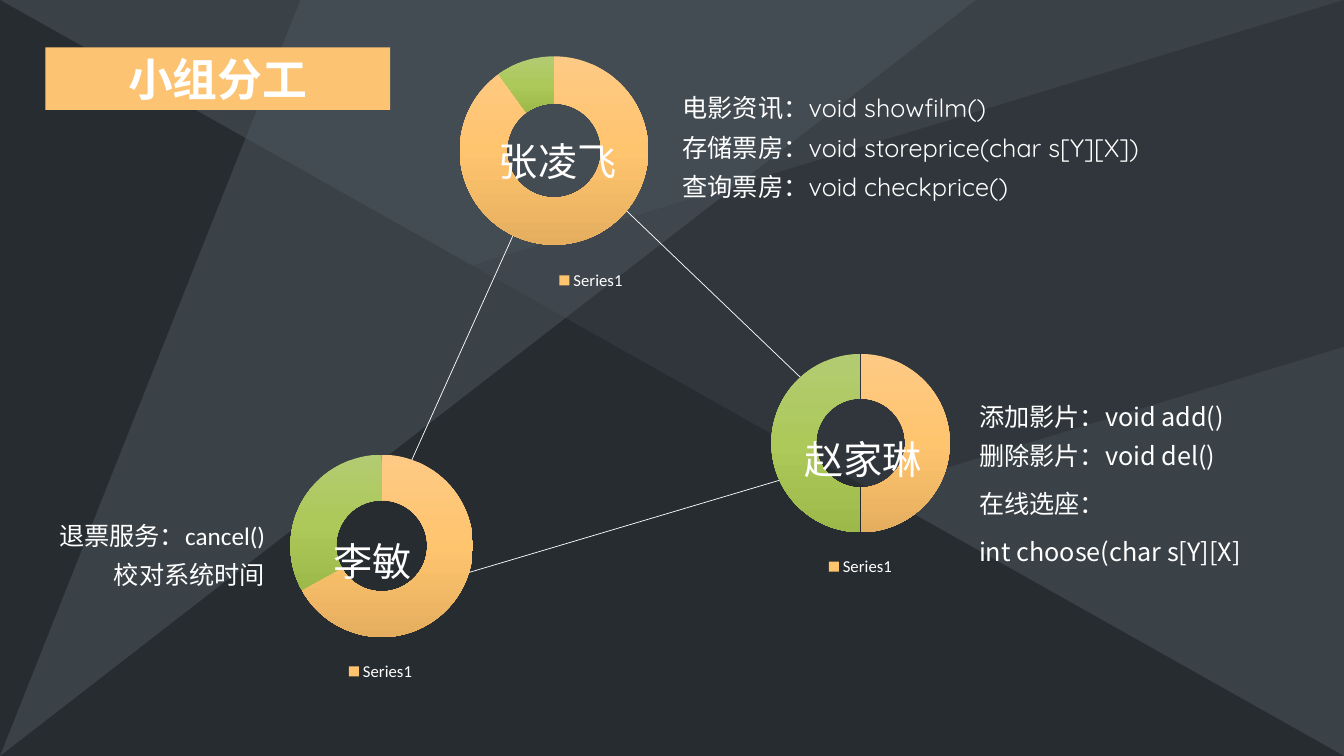
from copy import deepcopy
from dataclasses import dataclass

from lxml import etree
from pptx import Presentation
from pptx.chart.data import CategoryChartData
from pptx.dml.color import RGBColor
from pptx.enum.chart import XL_CHART_TYPE, XL_LEGEND_POSITION
from pptx.enum.shapes import MSO_CONNECTOR
from pptx.enum.text import MSO_ANCHOR, MSO_AUTO_SIZE, PP_ALIGN
from pptx.oxml import parse_xml
from pptx.oxml.ns import nsdecls, qn
from pptx.util import Inches, Pt

DOUGHNUT = XL_CHART_TYPE.DOUGHNUT
BOTTOM = XL_LEGEND_POSITION.BOTTOM
STRAIGHT = MSO_CONNECTOR.STRAIGHT
MIDDLE = MSO_ANCHOR.MIDDLE
GROW = MSO_AUTO_SIZE.SHAPE_TO_FIT_TEXT
LEFT, CENTER, RIGHT = PP_ALIGN.LEFT, PP_ALIGN.CENTER, PP_ALIGN.RIGHT


@dataclass(frozen=True)
class Theme:
    back: RGBColor = RGBColor.from_string("3A4147")
    dark: RGBColor = RGBColor.from_string("272C30")
    light: RGBColor = RGBColor.from_string("4E575F")
    white: RGBColor = RGBColor.from_string("FFFFFF")
    banner: RGBColor = RGBColor.from_string("FBC372")
    orange: tuple = ("FDCA85", "FFC46E", "E5AE5F")
    green: tuple = ("B3CB73", "ACC959", "9CB949")
    cjk: str = "Noto Sans CJK SC"
    latin: str = "Calibri"
    round: str = "Quicksand"
    title: Pt = Pt(32)
    name: Pt = Pt(28)
    body: Pt = Pt(18)
    chart: Pt = Pt(10)
    legend: Pt = Pt(11.9)


T = Theme()


def set_layout(parent, index, **values):
    for old in parent.findall(qn("c:layout")):
        parent.remove(old)
    tags = "".join(f'<c:{k} val="{v}"/>' for k, v in values.items())
    parent.insert(index, parse_xml(
        f'<c:layout {nsdecls("c")}><c:manualLayout>{tags}</c:manualLayout></c:layout>'))


def add_text(box, lines, font, size, align, inset, gaps):
    tb = s.shapes.add_textbox(*map(Inches, box))
    tf = tb.text_frame
    tf.word_wrap = True
    tf.auto_size = GROW
    tf.margin_left = tf.margin_right = Inches(inset[0])
    tf.margin_top = tf.margin_bottom = Inches(inset[1])
    for i, line in enumerate(lines):
        p = tf.paragraphs[0] if i == 0 else tf.add_paragraph()
        p.text = line
        p.alignment = align
        p.line_spacing = 1.3
        if i in gaps:
            p.space_before = Pt(6)
        p.font.name = font
        p.font.size = size
        p.font.color.rgb = T.white


prs = Presentation()
prs.slide_width, prs.slide_height = Inches(13.33), Inches(7.5)
s = prs.slides.add_slide(prs.slide_layouts[5])
s.background.fill.solid()
s.background.fill.fore_color.rgb = T.back

facets = [
    ([(0, 0), (0, 7.5), (13.33, 7.5)], T.dark, 100),
    ([(13.33, 0), (0, 4.06), (0, 7.5), (13.33, 3.44)], T.dark, 50),
    ([(9.68, 0), (2.98, 0), (0, 7.5)], T.light, 50),
]
for points, color, opacity in facets:
    corners = [(Inches(x), Inches(y)) for x, y in points]
    fb = s.shapes.build_freeform(*corners[0])
    fb.add_line_segments(corners[1:], close=True)
    facet = fb.convert_to_shape()
    facet.shadow.inherit = False
    facet.line.fill.background()
    facet.fill.solid()
    facet.fill.fore_color.rgb = color
    if opacity < 100:
        clr = facet._element.spPr.find(f'{qn("a:solidFill")}/{qn("a:srgbClr")}')
        etree.SubElement(clr, qn("a:alpha"), val=str(opacity * 1000))

title = s.shapes.title
s.shapes._spTree.append(title._element)
title.left, title.top, title.width, title.height = map(Inches, (0.45, 0.47, 3.42, 0.62))
title.fill.solid()
title.fill.fore_color.rgb = T.banner
tf = title.text_frame
tf.vertical_anchor = MIDDLE
tf.auto_size = MSO_AUTO_SIZE.NONE
p = tf.paragraphs[0]
p.text = "小组分工"
p.alignment = CENTER
p.font.name = T.cjk
p.font.size = T.title
p.font.bold = True
p.font.color.rgb = T.white

for x1, y1, x2, y2 in [(4, 4.75, 5.1, 2.31), (6.15, 2.03, 8.05, 3.85), (4.38, 5.76, 7.78, 4.75)]:
    link = s.shapes.add_connector(STRAIGHT, *map(Inches, (x1, y1, x2, y2)))
    link.line.color.rgb = T.white
    link.line.width = Pt(0.5)
    etree.SubElement(link._element.spPr, qn("a:effectLst"))

rings = [
    ((1.95, 4.37, 3.65, 2.43), (2.88, 4.51, 1.81), (67, 33), None),
    ((7.43, 3.37, 2.21, 2.39), (7.65, 3.51, 1.77), (50, 50), None),
    ((3.64, 0.47, 3.71, 2.47), (4.56, 0.56, 1.87), (90, 10), (0.5, 0.88)),
]
for (x, y, w, h), (ring_x, ring_y, size), shares, legend_at in rings:
    data = CategoryChartData()
    data.categories = ["", ""]
    data.add_series("Series1", shares)
    chart = s.shapes.add_chart(DOUGHNUT, *map(Inches, (x, y, w, h)), data).chart
    chart.has_title = False
    chart.font.name = T.latin
    chart.font.size = T.chart
    chart.font.color.rgb = T.white
    chart.has_legend = True
    legend = chart.legend
    legend.position = BOTTOM
    legend.include_in_layout = False
    legend.font.name = T.latin
    legend.font.size = T.legend
    legend.font.color.rgb = T.white
    if legend_at:
        set_layout(legend._element, 1, xMode="edge", yMode="edge", x=legend_at[0], y=legend_at[1])

    plot = chart.plots[0]
    plot.vary_by_categories = False
    series = plot.series[0]
    series.format.fill.solid()
    series.format.fill.fore_color.rgb = RGBColor.from_string(T.orange[1])
    for i, colors in enumerate((T.orange, T.green)):
        point = series.points[i]
        point.format.line.fill.background()
        fill = point.format.fill
        fill.gradient()
        fill.gradient_angle = 270
        stops = series._element.findall(qn("c:dPt"))[i].find(f'.//{qn("a:gsLst")}')
        stops.append(deepcopy(stops[0]))
        for stop, color, position in zip(fill.gradient_stops, colors, (0, 0.5, 1)):
            stop.color.rgb = RGBColor.from_string(color)
            stop.position = position

    space = chart._chartSpace
    for hole in space.iter(qn("c:holeSize")):
        hole.set("val", "75")
    set_layout(space.find(f'.//{qn("c:plotArea")}'), 0, layoutTarget="inner",
               xMode="edge", yMode="edge",
               x=round((ring_x - x) / w, 3), y=round((ring_y - y) / h, 3),
               w=round(size / w, 3), h=round(size / h, 3))
    space.find(qn("c:chart")).addnext(parse_xml(
        f'<c:spPr {nsdecls("c", "a")}><a:noFill/><a:ln><a:noFill/></a:ln></c:spPr>'))

duties = [
    ((6.7, 0.79, 4.87, 1.24), T.round, LEFT, (),
     ["电影资讯：void showfilm()", "存储票房：void storeprice(char s[Y][X])", "查询票房：void checkprice()"]),
    ((0.28, 5.03, 2.42, 1.11), T.latin, RIGHT, (), ["退票服务：cancel()", "校对系统时间"]),
    ((9.64, 3.85, 3.59, 1.8), T.cjk, LEFT, (2, 3),
     ["添加影片：void add()", "删除影片：void del()", "在线选座：", "int choose(char s[Y][X]"]),
]
for box, font, align, gaps, lines in duties:
    add_text(box, lines, font, T.body, align, (0.07, 0.04), gaps)

members = [
    ("李敏", (3.04, 5.14, 1.31, 0.63), CENTER),
    ("张凌飞", (4.85, 1.17, 1.76, 0.63), LEFT),
    ("赵家琳", (7.88, 4.13, 2.38, 0.63), LEFT),
]
for name, box, align in members:
    add_text(box, [name], T.cjk, T.name, align, (0.1, 0.05), ())

prs.save("out.pptx")
